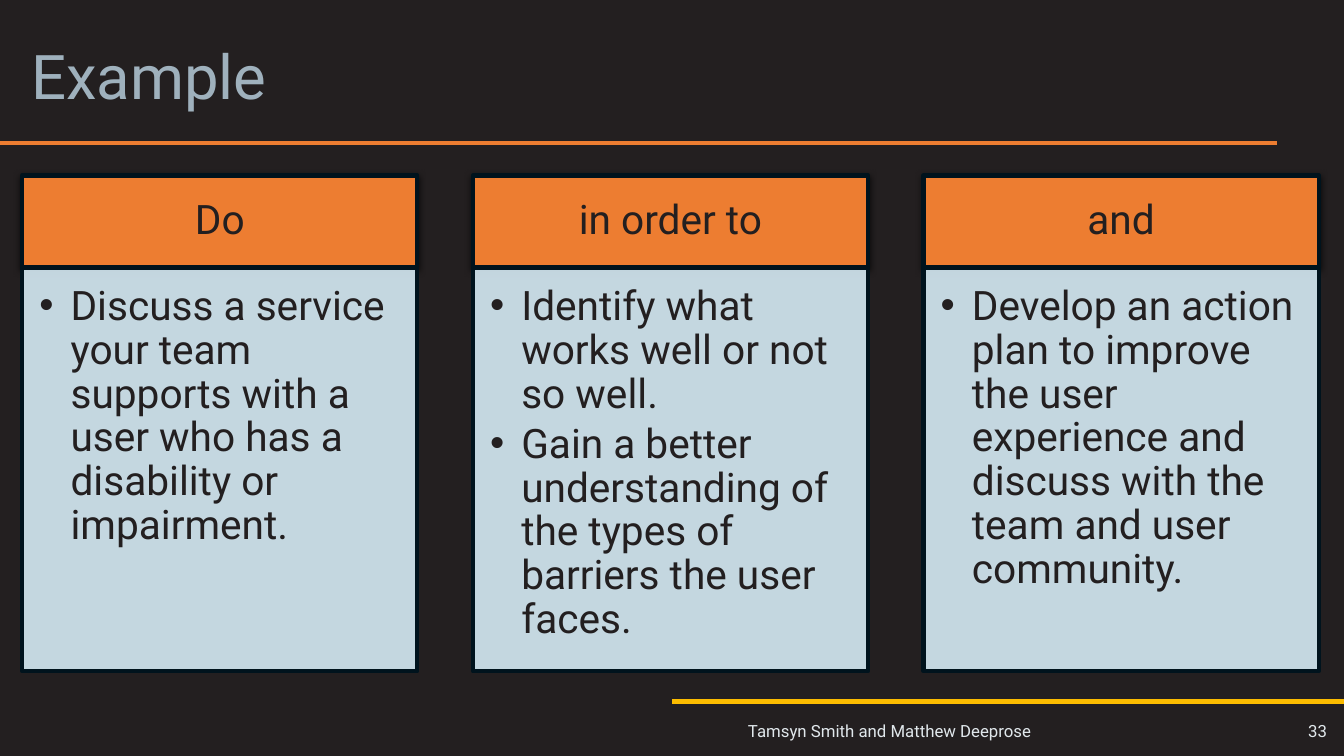
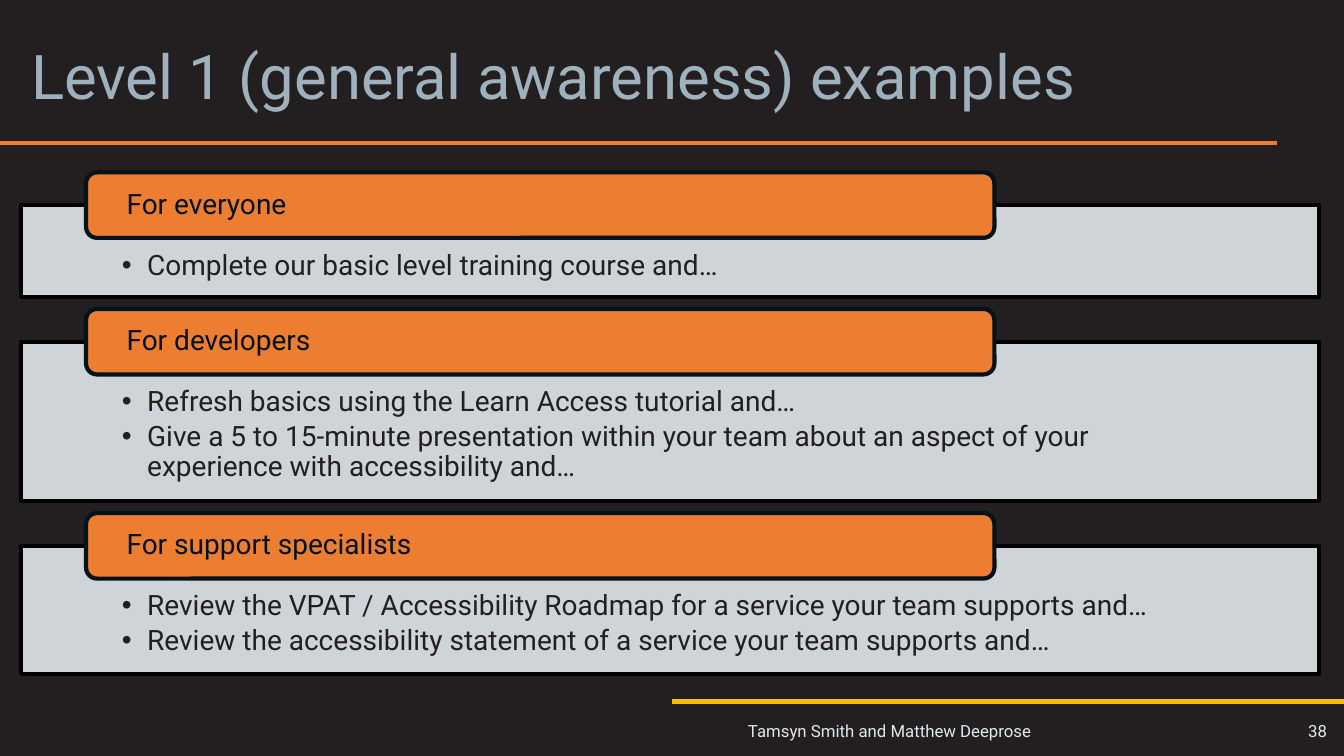
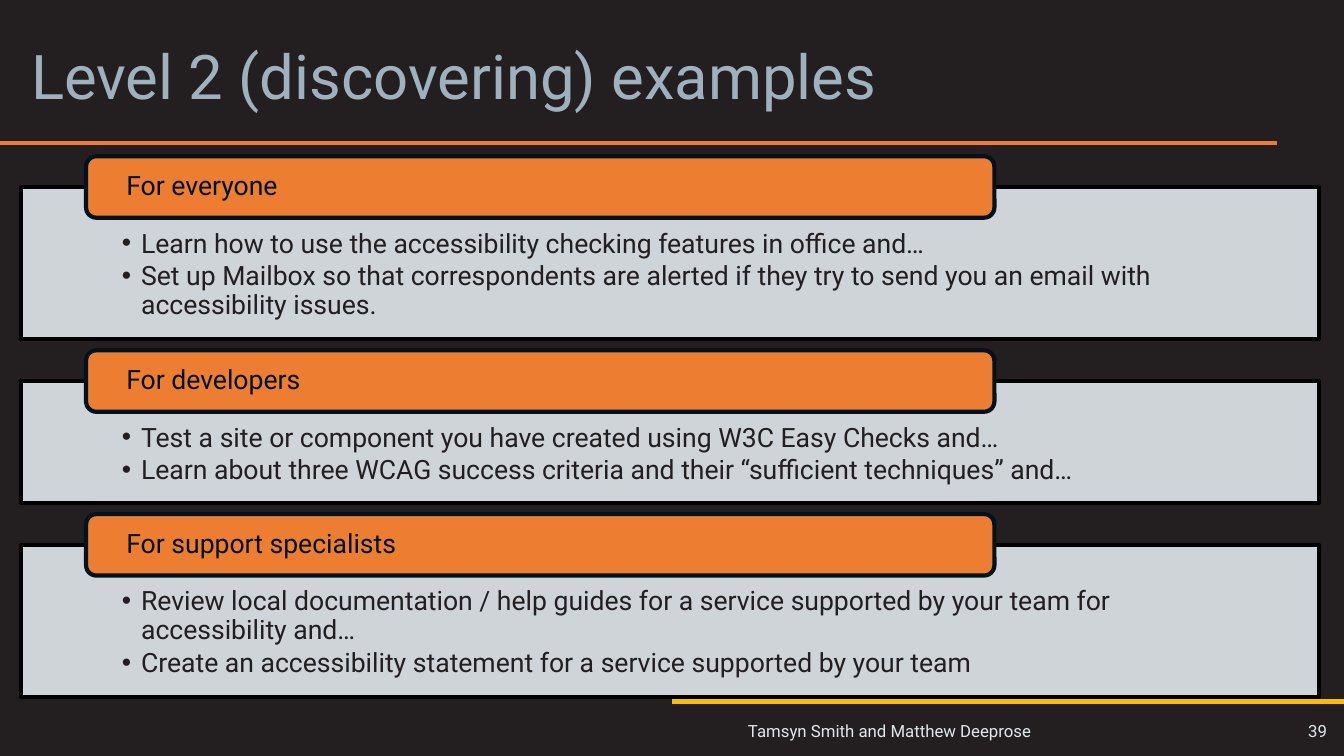
from lxml.etree import SubElement as Sub
from pptx import Presentation
from pptx.dml.color import RGBColor as Rgb
from pptx.enum.shapes import MSO_CONNECTOR, MSO_SHAPE as Kind
from pptx.enum.text import MSO_ANCHOR as Anchor, PP_ALIGN as Align
from pptx.oxml.ns import qn
from pptx.util import Inches, Pt


class Theme:
    font = "Roboto"
    back, ink, navy, black = "231F20", "231F20", "00131D", "000000"
    title, pale, sky = "9FB1BD", "E1E8EC", "D6EBF5"
    orange, gold = "ED7D31", "FCBC00"
    head, card, foot = 44, 29, 12
    line = 3


# Grid, in inches
W, H = 13.33, 7.5
edge, wide = 0.21, 12.87
rule, base = 1.42, 6.96
col, step = 3.92, 4.47
top, bar, body = 1.74, 0.91, 4.0

# Content
cards = [
    ("Do", ["Discuss a service your team supports with a user who has a "
            "disability or impairment."]),
    ("in order to", ["Identify what works well or not so well.",
                     "Gain a better understanding of the types of barriers "
                     "the user faces."]),
    ("and", ["Develop an action plan to improve the user experience and "
             "discuss with the team and user community."]),
]
# Each level: title, page, type size, first tab top, tab height, gap, hang, rows
levels = [
    ("Level 1 (general awareness) examples", 38, 20, 1.71, 0.65, 0.12, 0.25, [
        ("For everyone", 0.91,
         ["Complete our basic level training course and…"]),
        ("For developers", 1.58,
         ["Refresh basics using the Learn Access tutorial and…",
          "Give a 5 to 15-minute presentation within your team about an "
          "aspect of your experience with accessibility and…"]),
        ("For support specialists", 1.27,
         ["Review the VPAT / Accessibility Roadmap for a service your team "
          "supports and…",
          "Review the accessibility statement of a service your team "
          "supports and…"]),
    ]),
    ("Level 2 (discovering) examples", 39, 19, 1.55, 0.61, 0.11, 0.19, [
        ("For everyone", 1.51,
         ["Learn how to use the accessibility checking features in office "
          "and…",
          "Set up Mailbox so that correspondents are alerted if they try to "
          "send you an email with accessibility issues."]),
        ("For developers", 1.21,
         ["Test a site or component you have created using W3C Easy Checks "
          "and…",
          "Learn about three WCAG success criteria and their “sufficient "
          "techniques” and…"]),
        ("For support specialists", 1.51,
         ["Review local documentation / help guides for a service supported "
          "by your team for accessibility and…",
          "Create an accessibility statement for a service supported by "
          "your team"]),
    ]),
]


def block(slide, kind, at, fill, rim, alpha=None):
    shape = slide.shapes.add_shape(kind, *map(Inches, at))
    shape.shadow.inherit = False
    shape.fill.solid()
    shape.fill.fore_color.rgb = Rgb.from_string(fill)
    shape.line.color.rgb = Rgb.from_string(rim)
    shape.line.width = Pt(Theme.line)
    if alpha:
        tint = shape.fill._xPr.find(qn("a:solidFill"))[0]
        Sub(tint, qn("a:alpha"), val=str(alpha * 1000))
    return shape


def write(shape, lines, size, ink, pad=(0.1, 0.05, 0.1, 0.05),
          anchor=Anchor.MIDDLE, align=Align.LEFT, hang=0, lead=0.9):
    frame = shape.text_frame
    frame.word_wrap = True
    frame.vertical_anchor = anchor
    (frame.margin_left, frame.margin_top,
     frame.margin_right, frame.margin_bottom) = map(Inches, pad)
    for i, line in enumerate(lines):
        para = frame.paragraphs[0] if i == 0 else frame.add_paragraph()
        para.text = line
        if hang:
            props = para._p.get_or_add_pPr()
            props.set("marL", str(Inches(hang)))
            props.set("indent", str(-Inches(hang)))
            Sub(props, qn("a:buFont"), typeface="Arial")
            Sub(props, qn("a:buChar"), char="•")
            para.space_after = Pt(round(size * 0.16, 1))
        para.alignment = align
        para.line_spacing = lead
        para.font.name = Theme.font
        para.font.size = Pt(size)
        para.font.color.rgb = Rgb.from_string(ink)


deck = Presentation()
deck.slide_width, deck.slide_height = Inches(W), Inches(H)
paper = deck.slide_master.background.fill
paper.solid()
paper.fore_color.rgb = Rgb.from_string(Theme.back)

# Shared frame: rules, title, footer and page number
pages = [("Example", 33)] + [level[:2] for level in levels]
for title, page in pages:
    slide = deck.slides.add_slide(deck.slide_layouts[6])
    for left, right, y, hue in [(0, W * 0.95, rule, Theme.orange),
                                (W / 2, W, base, Theme.gold)]:
        line = slide.shapes.add_connector(
            MSO_CONNECTOR.STRAIGHT, *map(Inches, (left, y, right, y)))
        line.line.color.rgb = Rgb.from_string(hue)
        line.line.width = Pt(Theme.line)
        Sub(line._element.spPr, qn("a:effectLst"))
    for at, text, size, ink, align, lead in [
        ((edge, 0.16, wide, 1.26), title,
         Theme.head, Theme.title, Align.LEFT, 0.9),
        ((7.32, 7.04, 4.7, 0.41), "Tamsyn Smith and Matthew Deeprose",
         Theme.foot, Theme.pale, Align.LEFT, 1.0),
        ((12.27, 7.04, 0.99, 0.41), str(page),
         Theme.foot, Theme.pale, Align.RIGHT, 1.0),
    ]:
        box = slide.shapes.add_textbox(*map(Inches, at))
        write(box, [text], size, ink, align=align, lead=lead)

# Three cards, one per column
slide = deck.slides[0]
for i, (name, points) in enumerate(cards):
    x = edge + 0.01 + i * step
    head = block(slide, Kind.RECTANGLE, (x, top, col, bar),
                 Theme.orange, Theme.navy)
    glow = Sub(head._element.spPr.find(qn("a:effectLst")),
               qn("a:outerShdw"), blurRad=str(Pt(4.5)), dist=str(Pt(1.5)),
               dir="5400000", rotWithShape="0")
    shade = Sub(glow, qn("a:srgbClr"), val=Theme.black)
    Sub(shade, qn("a:alpha"), val="63000")
    write(head, [name], Theme.card, Theme.ink,
          (0.23, 0.13, 0.23, 0.13), align=Align.CENTER)
    card = block(slide, Kind.RECTANGLE, (x, top + bar + 0.01, col, body),
                 Theme.sky, Theme.navy, 90)
    write(card, points, Theme.card, Theme.ink,
          (0.17, 0.17, 0.23, 0.25), Anchor.TOP, hang=0.31)

# Stacked panels, each with a tab across its top side
for slide, level in zip(list(deck.slides)[1:], levels):
    size, y, tall, gap, hang, rows = level[2:]
    for name, deep, points in rows:
        mid = y + tall / 2
        panel = block(slide, Kind.RECTANGLE, (edge, mid, wide, deep),
                      Theme.pale, Theme.black, 90)
        write(panel, points, size, Theme.ink,
              (1, tall * 0.7, 1, 0.15), Anchor.TOP, hang=hang)
        tab = block(slide, Kind.ROUNDED_RECTANGLE,
                    (edge + wide * 0.05, y, wide * 0.7, tall),
                    Theme.orange, Theme.navy)
        write(tab, [name], size, Theme.navy, (0.37, 0, 0.37, 0))
        y = mid + deep + gap

deck.save("out.pptx")
